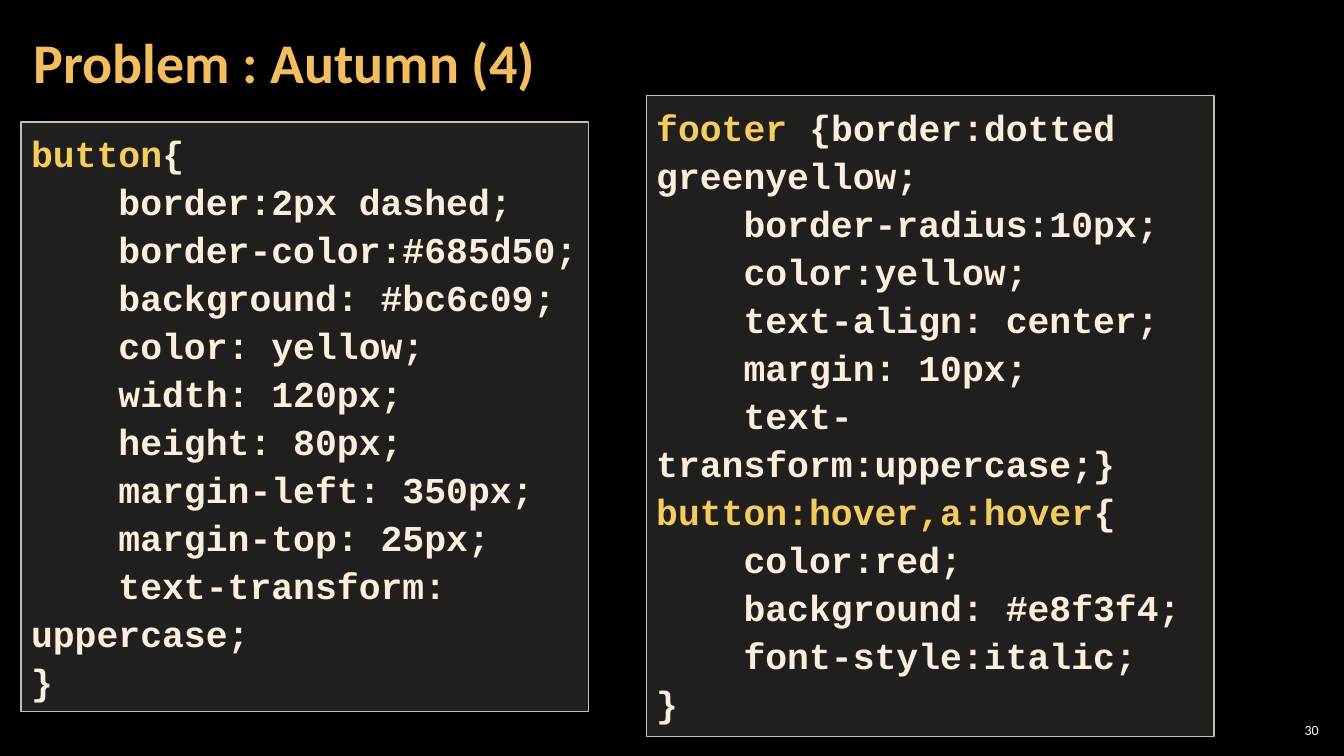
from lxml import etree
from pptx import Presentation
from pptx.dml.color import RGBColor
from pptx.enum.shapes import MSO_SHAPE
from pptx.enum.text import MSO_ANCHOR, MSO_AUTO_SIZE, PP_ALIGN
from pptx.oxml.ns import qn
from pptx.util import Inches, Pt

RECTANGLE = MSO_SHAPE.RECTANGLE
TOP, MIDDLE = MSO_ANCHOR.TOP, MSO_ANCHOR.MIDDLE
LEFT, RIGHT = PP_ALIGN.LEFT, PP_ALIGN.RIGHT
NO_FIT, GROW = MSO_AUTO_SIZE.NONE, MSO_AUTO_SIZE.SHAPE_TO_FIT_TEXT

COLORS = {
    "background": "000000",
    "title": "F3BE60",
    "panel": "D9D5C7",
    "border": "C7BFAC",
    "selector": "F3CD60",
    "code": "FBEEDC",
    "number": "FFFFFF",
}
PANEL_OPACITY = 15  # percent

# Each panel: left, top, height, then lines as (selector, rest of the line)
CODE_PANELS = [
    (0.21, 1.21, 5.85, [
        ("button", "{"),
        ("", "    border:2px dashed;"),
        ("", "    border-color:#685d50;"),
        ("", "    background: #bc6c09;"),
        ("", "    color: yellow;"),
        ("", "    width: 120px;"),
        ("", "    height: 80px;"),
        ("", "    margin-left: 350px;"),
        ("", "    margin-top: 25px;"),
        ("", "    text-transform: uppercase;"),
        ("", "}"),
    ]),
    (6.41, 0.95, 6.36, [
        ("footer ", "{border:dotted greenyellow;"),
        ("", "    border-radius:10px;"),
        ("", "    color:yellow;"),
        ("", "    text-align: center;"),
        ("", "    margin: 10px;"),
        ("", "    text-transform:uppercase;}"),
        ("button:hover,a:hover", "{"),
        ("", "    color:red;"),
        ("", "    background: #e8f3f4;"),
        ("", "    font-style:italic;"),
        ("", "}"),
    ]),
]


def add_run(paragraph, text, color, **font_format):
    run = paragraph.add_run()
    run.text = text
    run.font.color.rgb = RGBColor.from_string(COLORS[color])
    for attribute, value in font_format.items():
        setattr(run.font, attribute, value)


def format_frame(frame, side_inset, edge_inset, **frame_format):
    """Set the insets in inches and any other text frame attributes."""
    frame.margin_left = frame.margin_right = Inches(side_inset)
    frame.margin_top = frame.margin_bottom = Inches(edge_inset)
    frame.word_wrap = True
    for attribute, value in frame_format.items():
        setattr(frame, attribute, value)


prs = Presentation()
prs.slide_width, prs.slide_height = Inches(13.33), Inches(7.5)
slide = prs.slides.add_slide(prs.slide_layouts[5])
slide.background.fill.solid()
slide.background.fill.fore_color.rgb = RGBColor.from_string(COLORS["background"])

# Title
title = slide.shapes.title
title.left, title.top = Inches(0.21), Inches(0.04)
title.width, title.height = Inches(10.47), Inches(1.21)
format_frame(title.text_frame, 0.12, 0.04, vertical_anchor=MIDDLE, auto_size=NO_FIT)
heading = title.text_frame.paragraphs[0]
heading.alignment = LEFT
heading.line_spacing = 0.9
add_run(heading, "Problem : Autumn (4)", "title",
        name="Calibri", size=Pt(40), bold=True)

# Code panels
for left, top, height, code_lines in CODE_PANELS:
    panel = slide.shapes.add_shape(RECTANGLE, Inches(left), Inches(top),
                                   Inches(5.63), Inches(height))
    panel.shadow.inherit = False
    panel.fill.solid()
    panel.fill.fore_color.rgb = RGBColor.from_string(COLORS["panel"])
    fill_color = panel.fill._xPr.find(qn("a:solidFill"))[0]
    etree.SubElement(fill_color, qn("a:alpha"), val=str(PANEL_OPACITY * 1000))
    panel.line.color.rgb = RGBColor.from_string(COLORS["border"])
    panel.line.width = Pt(1)

    frame = panel.text_frame
    format_frame(frame, 0.1, 0.05, vertical_anchor=TOP, auto_size=GROW)
    for index, (selector, rest) in enumerate(code_lines):
        line = frame.add_paragraph() if index else frame.paragraphs[0]
        line.alignment = LEFT
        line.line_spacing = 1.1
        for text, color in ((selector, "selector"), (rest, "code")):
            if text:
                add_run(line, text, color,
                        name="Courier New", size=Pt(26), bold=True)

# Slide number
page_number = slide.shapes.add_textbox(Inches(12.65), Inches(7.14),
                                       Inches(0.47), Inches(0.21))
format_frame(page_number.text_frame, 0.04, 0.04, vertical_anchor=MIDDLE)
number_line = page_number.text_frame.paragraphs[0]
number_line.alignment = RIGHT
add_run(number_line, "30", "number", name="Calibri", size=Pt(10))

prs.save("out.pptx")
